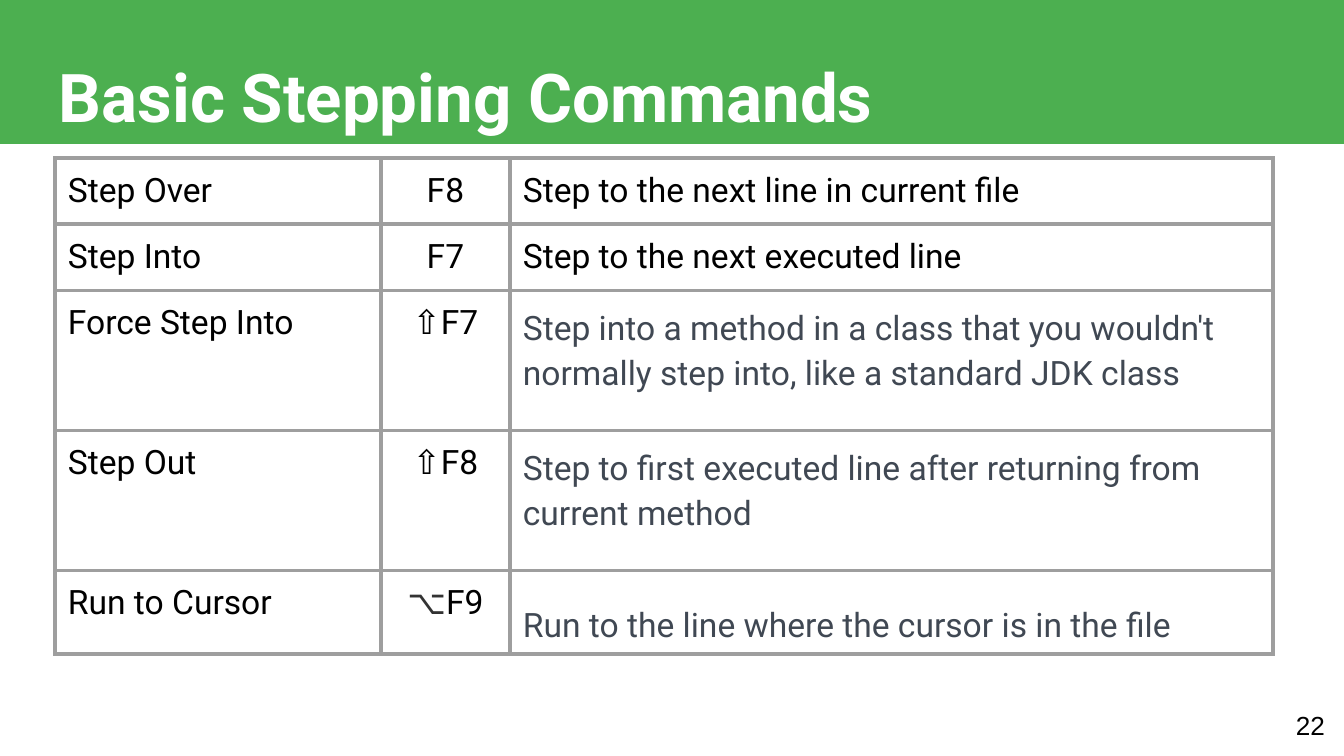
from lxml import etree
from pptx import Presentation
from pptx import util as u
from pptx.dml.color import RGBColor
from pptx.enum import shapes, text
from pptx.oxml.ns import qn

GREEN = RGBColor(0x4C, 0xAF, 0x50)
WHITE = RGBColor(0xFF, 0xFF, 0xFF)
BLACK = RGBColor(0, 0, 0)
SLATE = RGBColor(0x40, 0x48, 0x53)
DARK = RGBColor(0x33, 0x33, 0x33)
BORDER = RGBColor(0x9E, 0x9E, 0x9E)

TITLE = "Basic Stepping Commands"
PAGE = "22"
COMMANDS = [
    ("Step Over", [("F8", BLACK)], "Step to the next line in current file", BLACK, None),
    ("Step Into", [("F7", BLACK)], "Step to the next executed line", BLACK, None),
    ("Force Step Into", [("⇧F7", BLACK)],
     "Step into a method in a class that you wouldn't normally step into, "
     "like a standard JDK class", SLATE, 1.15),
    ("Step Out", [("⇧F8", BLACK)],
     "Step to first executed line after returning from current method", SLATE, 1.15),
    ("Run to Cursor", [("⌥", DARK), ("F9", BLACK)],
     "Run to the line where the cursor is in the file", SLATE, 1.57),
]
COLS = [326, 129, 763]
ROWS = [66, 66, 140, 140, 83]
PAD = 13


def px(n):
    return u.Emu(round(n * 914400 / 134.4))


def box(left, top, width, height):
    return px(left), px(top), px(width), px(height)


def write(tf, runs, size=18, font="Roboto", bold=False, align=text.PP_ALIGN.LEFT, spacing=None):
    tf.word_wrap = True
    p = tf.paragraphs[0]
    p.alignment = align
    if spacing:
        p.line_spacing = spacing
    for words, color in runs:
        r = p.add_run()
        r.text = words
        r.font.size = u.Pt(size)
        r.font.name = font
        r.font.bold = bold
        r.font.color.rgb = color


def pad(target, bottom=PAD):
    target.margin_left = target.margin_right = target.margin_top = px(PAD)
    target.margin_bottom = px(bottom)


def add_borders(cell):
    tcPr = cell._tc.get_or_add_tcPr()
    for side in ("a:lnL", "a:lnR", "a:lnT", "a:lnB"):
        ln = etree.SubElement(tcPr, qn(side), w=str(u.Pt(2.25)))
        fill = etree.SubElement(ln, qn("a:solidFill"))
        etree.SubElement(fill, qn("a:srgbClr"), val=str(BORDER))


prs = Presentation()
prs.slide_width, prs.slide_height = px(1344), px(756)
s = prs.slides.add_slide(prs.slide_layouts[5])

title = s.shapes.title
title.left, title.top, title.width, title.height = box(46, 26, 1273, 85)
tf = title.text_frame
pad(tf)
tf.margin_top = px(PAD + 4)
tf.auto_size = text.MSO_AUTO_SIZE.NONE
tf.vertical_anchor = text.MSO_ANCHOR.TOP
write(tf, [(TITLE, WHITE)], size=36, bold=True, spacing=1.15)

band = s.shapes.add_shape(shapes.MSO_SHAPE.RECTANGLE, *box(-1, -5, 1346, 149))
band.shadow.inherit = False
band.fill.solid()
band.fill.fore_color.rgb = GREEN
band.line.fill.background()
title.element.addprevious(band.element)

number = s.shapes.add_textbox(*box(1257, 696, 81, 58))
pad(number.text_frame)
number.text_frame.vertical_anchor = text.MSO_ANCHOR.MIDDLE
write(number.text_frame, [(PAGE, BLACK)], size=14, font="Arial", align=text.PP_ALIGN.RIGHT)

table = s.shapes.add_table(len(ROWS), len(COLS), *box(55, 158, sum(COLS), sum(ROWS))).table
table.first_row = table.horz_banding = False
for column, width in zip(table.columns, COLS):
    column.width = px(width)
for row, height, (name, keys, meaning, color, spacing) in zip(table.rows, ROWS, COMMANDS):
    row.height = px(height)
    for cell in row.cells:
        pad(cell)
        add_borders(cell)
        cell.fill.background()
    name_cell, key_cell, meaning_cell = row.cells
    write(name_cell.text_frame, [(name, BLACK)])
    write(key_cell.text_frame, keys, align=text.PP_ALIGN.CENTER)
    write(meaning_cell.text_frame, [(meaning, color)], spacing=spacing)
    if spacing:
        pad(meaning_cell, bottom=7)

prs.save("out.pptx")
